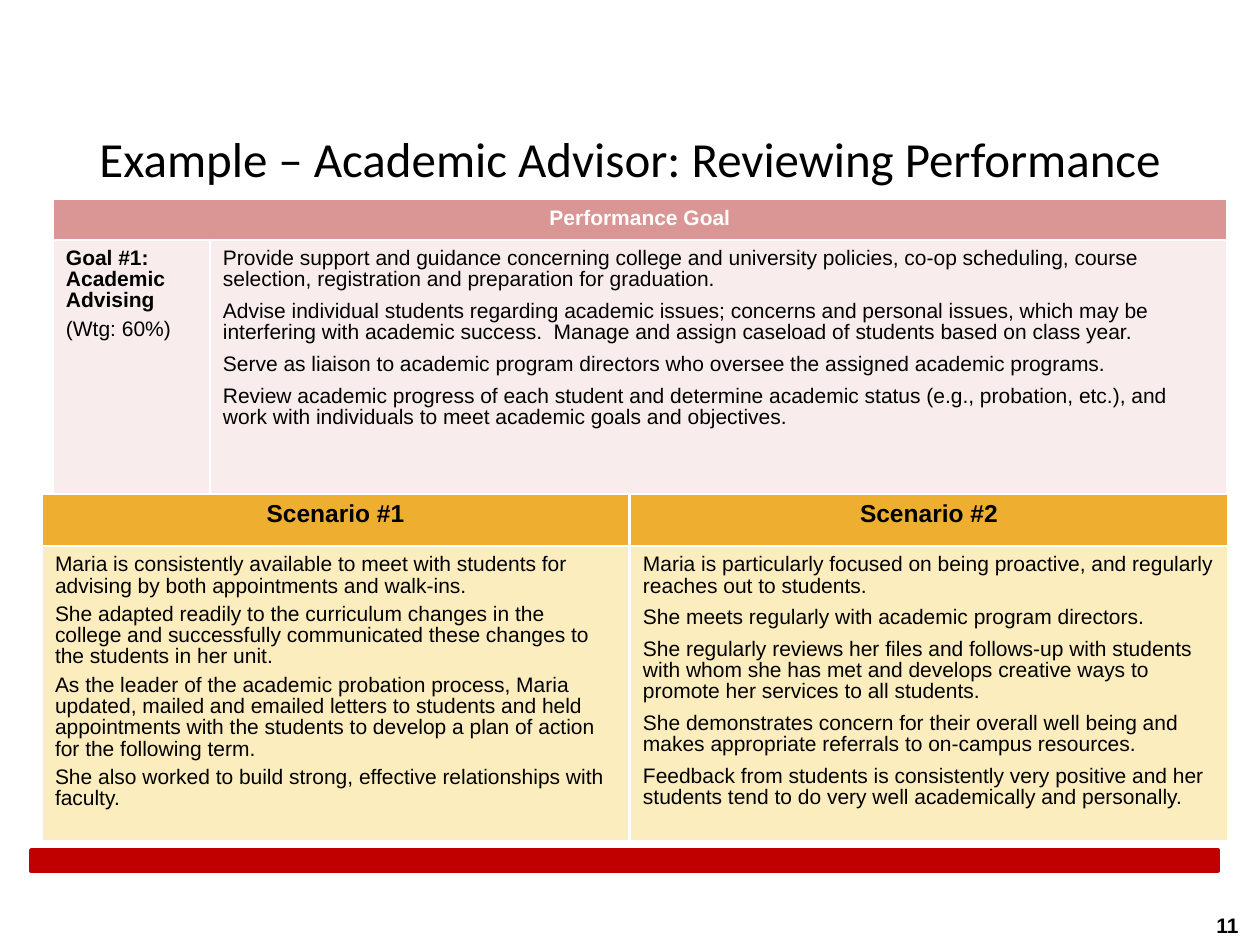
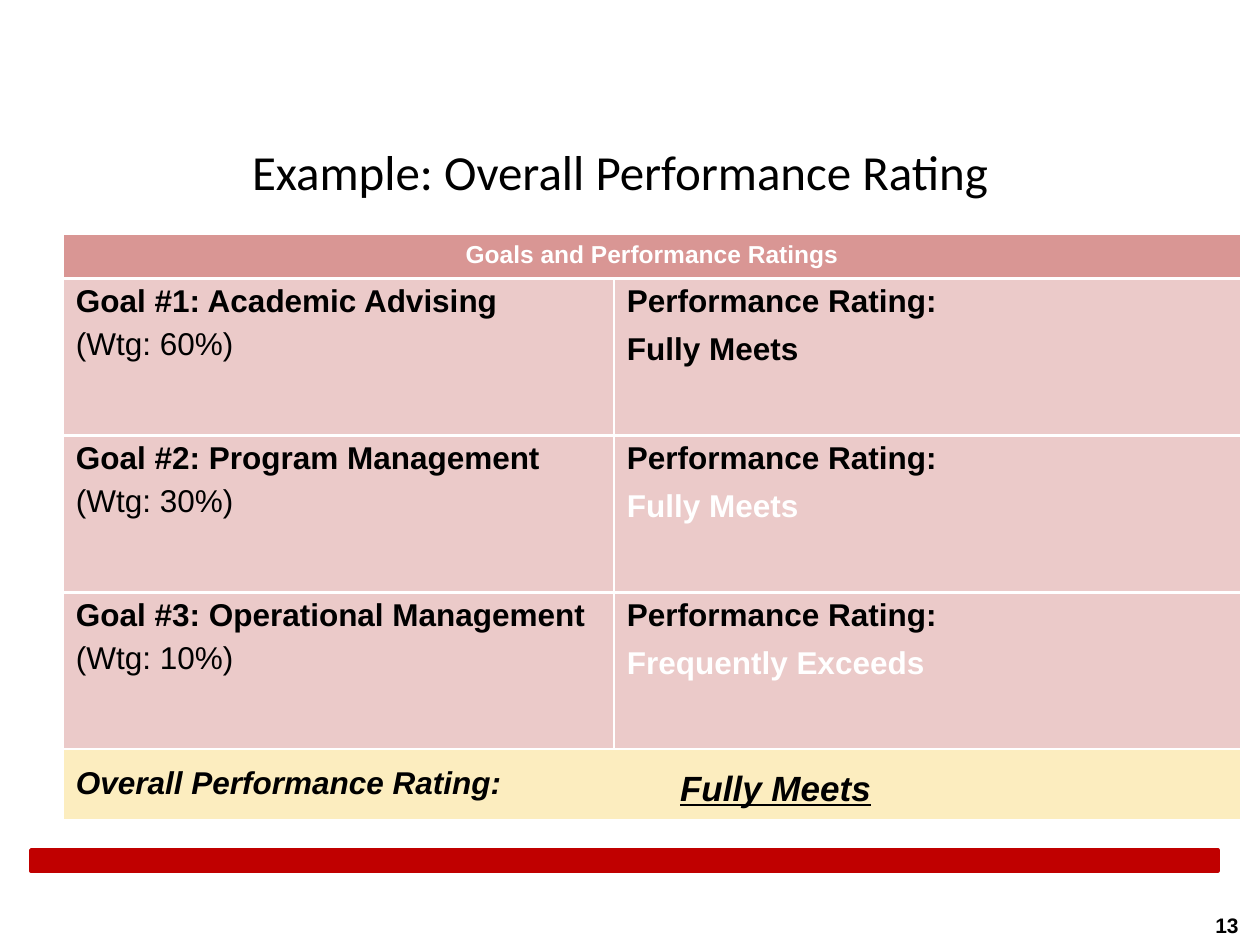
from lxml.etree import SubElement
from pptx import Presentation
from pptx.dml.color import RGBColor
from pptx.enum.shapes import MSO_SHAPE
from pptx.enum.text import MSO_ANCHOR as ANCHOR, PP_ALIGN as ALIGN
from pptx.oxml import parse_xml
from pptx.oxml.ns import nsdecls, qn
from pptx.util import Emu, Pt

COLORS = {
    "text": "000000",
    "white": "FFFFFF",
    "band": "C00000",
    "rose": "D99694",
    "blush": "F2DCDB",
    "gold": "EEAF30",
    "cream": "FADD80",
}
EMU_PER_PIXEL = 914400 / 126
LINE_SPACING = 0.9
TIGHT, LOOSE = 0.35, 0.5
HALF = 50

BODY = {"size": 12}
STRONG = {"size": 12, "bold": True}
SCENARIO_HEAD = {"size": 14, "bold": True}
RATING = {"size": 18, "bold": True}
WEIGHT = {"size": 18}
OVERALL = {"size": 18, "bold": True, "italic": True}
RESULT = {"size": 20, "bold": True, "italic": True, "underline": True}


def px(value):
    return Emu(round(value * EMU_PER_PIXEL))


def rgb(name):
    return RGBColor.from_string(COLORS[name])


class Deck:
    def __init__(self):
        self.presentation = Presentation()
        self.presentation.slide_width = px(1260)
        self.presentation.slide_height = px(945)
        self.slide = None

    def add_slide(self, title, title_box, number):
        layout = self.presentation.slide_layouts.get_by_name("Title Only")
        self.slide = self.presentation.slides.add_slide(layout)
        self.band()
        self.text(number, (989, 902, 262, 42), STRONG, ALIGN.RIGHT, ANCHOR.BOTTOM)
        self.title(title, title_box)

    def place(self, shape, box):
        for name, value in zip(("left", "top", "width", "height"), box):
            setattr(shape, name, px(value))

    def styled_run(self, paragraph, text, style, align=ALIGN.LEFT):
        paragraph.alignment = align
        run = paragraph.add_run()
        run.text = text
        values = {"name": "Arial", "color": "text", "bold": False, **style}
        values["size"] = Pt(values["size"])
        run.font.color.rgb = rgb(values.pop("color"))
        for name, value in values.items():
            setattr(run.font, name, value)

    def title(self, text, box):
        shape = self.slide.shapes.title
        self.place(shape, box)
        frame = shape.text_frame
        frame.vertical_anchor = ANCHOR.MIDDLE
        style = {"name": "Calibri", "size": 28}
        self.styled_run(frame.paragraphs[0], text, style, ALIGN.CENTER)

    def text(self, text, box, style, align=ALIGN.CENTER, anchor=ANCHOR.TOP):
        shape = self.slide.shapes.add_textbox(*map(px, box))
        frame = shape.text_frame
        frame.word_wrap = True
        frame.vertical_anchor = anchor
        self.styled_run(frame.paragraphs[0], text, style, align)

    def band(self):
        shape = self.slide.shapes.add_shape(
            MSO_SHAPE.RECTANGLE, *map(px, (31, 850, 1187, 21))
        )
        shape.shadow.inherit = False
        shape.fill.solid()
        shape.fill.fore_color.rgb = rgb("band")
        shape.line.color.rgb = rgb("band")
        shape.line.width = Pt(2)

    def table(self, left, top, columns, rows):
        box = (left, top, sum(columns), sum(rows))
        frame = self.slide.shapes.add_table(len(rows), len(columns), *map(px, box))
        table = frame.table
        table.first_row = table.horz_banding = False
        for column, width in zip(table.columns, columns):
            column.width = px(width)
        for row, height in zip(table.rows, rows):
            row.height = px(height)
        for cell in table.iter_cells():
            self.borders(cell)
        return table

    def borders(self, cell):
        properties = cell._tc.get_or_add_tcPr()
        for side in ("lnL", "lnR", "lnT", "lnB"):
            properties.append(parse_xml(
                f'<a:{side} {nsdecls("a")} w="{Pt(1.5)}"><a:solidFill>'
                f'<a:srgbClr val="{COLORS["white"]}"/></a:solidFill></a:{side}>'
            ))

    def cell(self, cell, fill, lines, gap=TIGHT, align=ALIGN.LEFT,
             anchor=ANCHOR.TOP, opacity=100):
        layout = {
            "margin_left": px(13), "margin_right": px(13),
            "margin_top": px(9), "margin_bottom": px(9),
            "vertical_anchor": anchor,
        }
        for name, value in layout.items():
            setattr(cell, name, value)
        cell.fill.solid()
        cell.fill.fore_color.rgb = rgb(fill)
        if opacity < 100:
            color = cell._tc.tcPr.find(qn("a:solidFill")).find(qn("a:srgbClr"))
            SubElement(color, qn("a:alpha"), val=str(opacity * 1000))
        frame = cell.text_frame
        for index, (text, style) in enumerate(lines):
            paragraph = frame.add_paragraph() if index else frame.paragraphs[0]
            paragraph.line_spacing = LINE_SPACING
            paragraph.space_before = Pt(gap * style["size"] if index else 0)
            self.styled_run(paragraph, text, style, align)

    def wide_cell(self, table, row, fill, text, style, **options):
        first, last = table.cell(row, 0), table.cell(row, 1)
        first.merge(last)
        self.cell(first, fill, [(text, style)], anchor=ANCHOR.MIDDLE, **options)

    def scenario(self, left, width, heading, remarks, gap):
        table = self.table(left, 494, [width], [52, 295])
        self.cell(table.cell(0, 0), "gold", [(heading, SCENARIO_HEAD)], align=ALIGN.CENTER)
        lines = [(remark, BODY) for remark in remarks]
        self.cell(table.cell(1, 0), "cream", lines, gap, opacity=HALF)


deck = Deck()

deck.add_slide("Example – Academic Advisor: Reviewing Performance", (63, 121, 1134, 74), "11")
goal_table = deck.table(53, 199, [157, 1017], [40, 256])
deck.wide_cell(goal_table, 0, "rose", "Performance Goal",
               {**STRONG, "color": "white"}, align=ALIGN.CENTER)
deck.cell(goal_table.cell(1, 0), "blush",
          [("Goal #1: Academic Advising", STRONG), ("(Wtg: 60%)", BODY)], opacity=HALF)
duties = [
    "Provide support and guidance concerning college and university policies, "
    "co-op scheduling, course selection, registration and preparation for graduation.",
    "Advise individual students regarding academic issues; concerns and personal issues, "
    "which may be interfering with academic success.  Manage and assign caseload of "
    "students based on class year.",
    "Serve as liaison to academic program directors who oversee the assigned "
    "academic programs.",
    "Review academic progress of each student and determine academic status "
    "(e.g., probation, etc.), and work with individuals to meet academic goals and objectives.",
]
deck.cell(goal_table.cell(1, 1), "blush", [(duty, BODY) for duty in duties],
          LOOSE, opacity=HALF)
deck.scenario(42, 587, "Scenario #1", [
    "Maria is consistently available to meet with students for advising by both "
    "appointments and walk-ins.",
    "She adapted readily to the curriculum changes in the college and successfully "
    "communicated these changes to the students in her unit.",
    "As the leader of the academic probation process, Maria updated, mailed and emailed "
    "letters to students and held appointments with the students to develop a plan of "
    "action for the following term.",
    "She also worked to build strong, effective relationships with faculty.",
], TIGHT)
deck.scenario(630, 598, "Scenario #2", [
    "Maria is particularly focused on being proactive, and regularly reaches out to students.",
    "She meets regularly with academic program directors.",
    "She regularly reviews her files and follows-up with students with whom she has met "
    "and develops creative ways to promote her services to all students.",
    "She demonstrates concern for their overall well being and makes appropriate "
    "referrals to on-campus resources.",
    "Feedback from students is consistently very positive and her students tend to do "
    "very well academically and personally.",
], LOOSE)

deck.add_slide("Example: Overall Performance Rating", (53, 105, 1134, 132), "13")
goals = [
    ("Goal #1: Academic Advising", "(Wtg: 60%)", "Fully Meets", "text"),
    ("Goal #2: Program Management", "(Wtg: 30%)", "Fully Meets", "white"),
    ("Goal #3: Operational Management", "(Wtg: 10%)", "Frequently Exceeds", "white"),
]
rating_table = deck.table(63, 234, [551, 627], [44] + [157] * len(goals) + [71])
deck.wide_cell(rating_table, 0, "rose", "Goals and Performance Ratings",
               {**SCENARIO_HEAD, "color": "white"}, align=ALIGN.CENTER)
for row, (goal, weight, rating, color) in enumerate(goals, start=1):
    deck.cell(rating_table.cell(row, 0), "rose",
              [(goal, RATING), (weight, WEIGHT)], opacity=HALF)
    deck.cell(rating_table.cell(row, 1), "rose",
              [("Performance Rating:", RATING), (rating, {**RATING, "color": color})],
              LOOSE, opacity=HALF)
deck.wide_cell(rating_table, len(goals) + 1, "cream", "Overall Performance Rating:",
               OVERALL, opacity=HALF)
deck.text("Fully Meets", (539, 760, 473, 55), RESULT)

deck.presentation.save("out.pptx")
